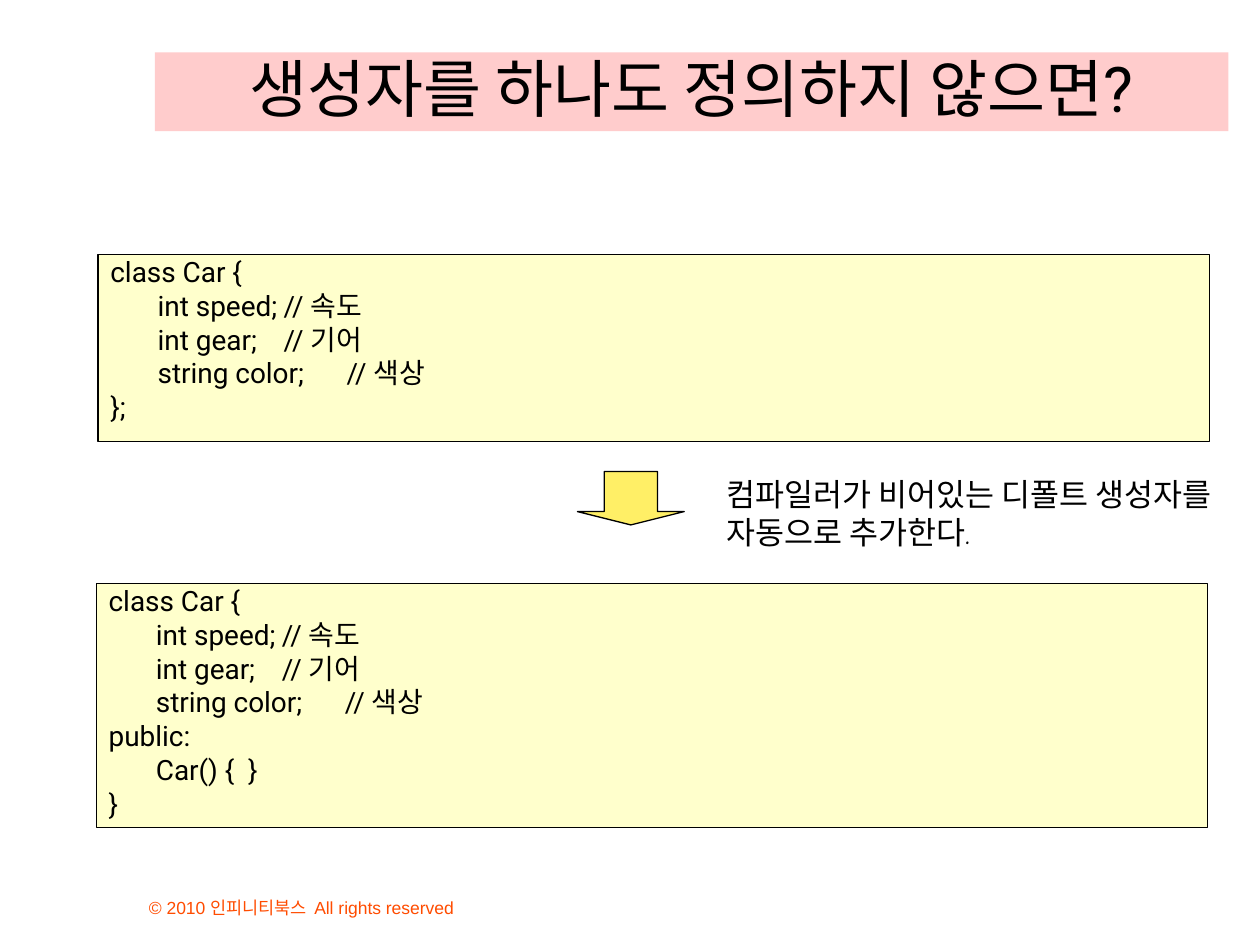
from lxml import etree
from pptx import Presentation
from pptx.dml.color import RGBColor
from pptx.enum import shapes, text
from pptx.oxml.ns import qn
from pptx.util import Pt

BLACK = RGBColor(0x00, 0x00, 0x00)
PINK = RGBColor(0xFF, 0xCC, 0xCC)
CREAM = RGBColor(0xFF, 0xFF, 0xCC)
YELLOW = RGBColor(0xFF, 0xEF, 0x66)
ORANGE = RGBColor(0xFF, 0x4C, 0x00)
KOREAN = "Noto Sans CJK KR"


def add_line(tf, i, runs, size, color, fmt, indent=0):
    """Write paragraph i from (text, font name) runs, with a tab stop every inch."""
    p = tf.paragraphs[0] if i == 0 else tf.add_paragraph()
    pPr = p._p.get_or_add_pPr()
    if indent:
        pPr.set("marL", str(Pt(indent)))
        pPr.set("indent", str(-Pt(indent)))
    tabs = etree.SubElement(pPr, qn("a:tabLst"))
    for n in range(8):
        etree.SubElement(tabs, qn("a:tab"), pos=str(Pt(72 * n)), algn="l")
    for name, value in fmt.items():
        setattr(p, name, value)
    for words, font in runs:
        r = p.add_run()
        r.text = words
        r.font.name, r.font.size = font, Pt(size)
        r.font.color.rgb = color


def add_shape(s, kind, box, fill):
    sp = s.shapes.add_shape(kind, *map(Pt, box))
    sp.shadow.inherit = False
    sp.fill.solid()
    sp.fill.fore_color.rgb = fill
    sp.line.color.rgb = BLACK
    sp.line.width = Pt(0.75)
    return sp


prs = Presentation()
prs.slide_width, prs.slide_height = Pt(720), Pt(540)
s = prs.slides.add_slide(prs.slide_layouts[5])

# Title
title = s.shapes.title
title.left, title.top, title.width, title.height = map(Pt, (88.5, 30, 613.5, 45))
title.fill.solid()
title.fill.fore_color.rgb = PINK
tf = title.text_frame
tf.auto_size = text.MSO_AUTO_SIZE.NONE
tf.vertical_anchor = text.MSO_ANCHOR.BOTTOM
add_line(tf, 0, [("생성자를 하나도 정의하지 않으면?", "Roboto")], 36, BLACK,
         {"alignment": text.PP_ALIGN.CENTER})

# Class before and after the compiler adds the constructor
fields = [
    ("class Car {", ""),
    ("\tint speed;\t// ", "속도"),
    ("\tint gear;\t// ", "기어"),
    ("\tstring color;\t// ", "색상"),
]
listings = [
    ((56, 145.5, 635, 107), fields + [("};", "")]),
    ((55, 333.5, 635, 139.5),
     fields + [("public:", ""), ("\tCar() {  }", ""), ("}", "")]),
]
for box, lines in listings:
    tf = add_shape(s, shapes.MSO_SHAPE.RECTANGLE, box, CREAM).text_frame
    tf.word_wrap = True
    tf.vertical_anchor = text.MSO_ANCHOR.TOP
    for i, (code, comment) in enumerate(lines):
        runs = [(code, "Roboto")] + ([(comment, KOREAN)] if comment else [])
        fmt = {"alignment": text.PP_ALIGN.LEFT, "line_spacing": 0.8,
               "space_before": Pt(4 if i else 0)}
        add_line(tf, i, runs, 16, BLACK, fmt, indent=27)

arrow = add_shape(s, shapes.MSO_SHAPE.DOWN_ARROW, (330, 269.5, 61, 30.5), YELLOW)
arrow.adjustments[0], arrow.adjustments[1] = 0.5, 0.25

# Explanation beside the arrow
tf = s.shapes.add_textbox(*map(Pt, (408, 268, 299.5, 50.5))).text_frame
tf.word_wrap = False
tf.auto_size = text.MSO_AUTO_SIZE.SHAPE_TO_FIT_TEXT
for i, words in enumerate(["컴파일러가 비어있는 디폴트 생성자를", "자동으로 추가한다."]):
    add_line(tf, i, [(words, "Comic Neue")], 18, BLACK, {})

# Copyright line
tf = s.shapes.add_textbox(*map(Pt, (78, 498, 276, 30))).text_frame
tf.word_wrap = True
tf.vertical_anchor = text.MSO_ANCHOR.BOTTOM
add_line(tf, 0, [("© 2010 인피니티북스  All rights reserved", "Arial")], 10, ORANGE, {})

prs.save("out.pptx")
